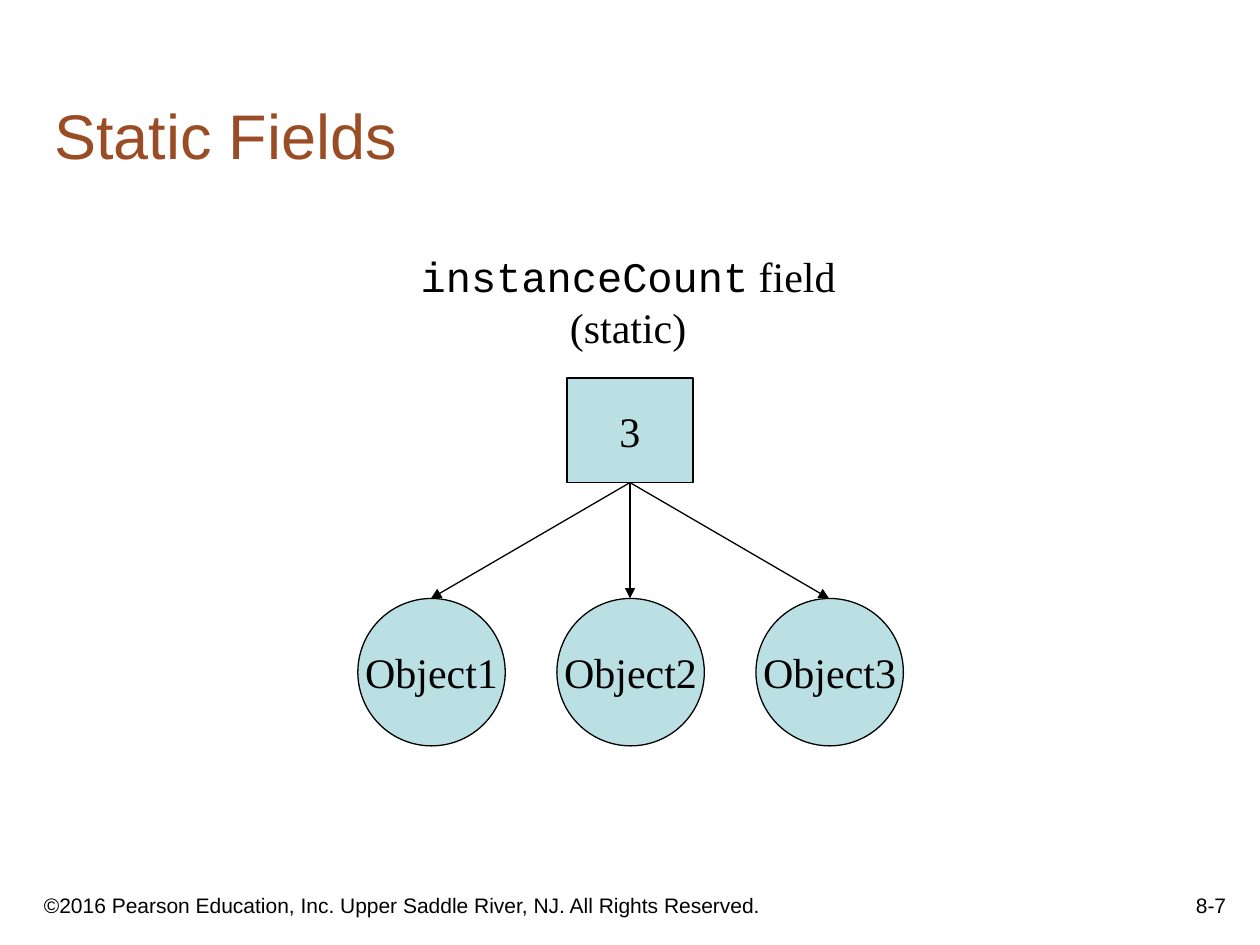
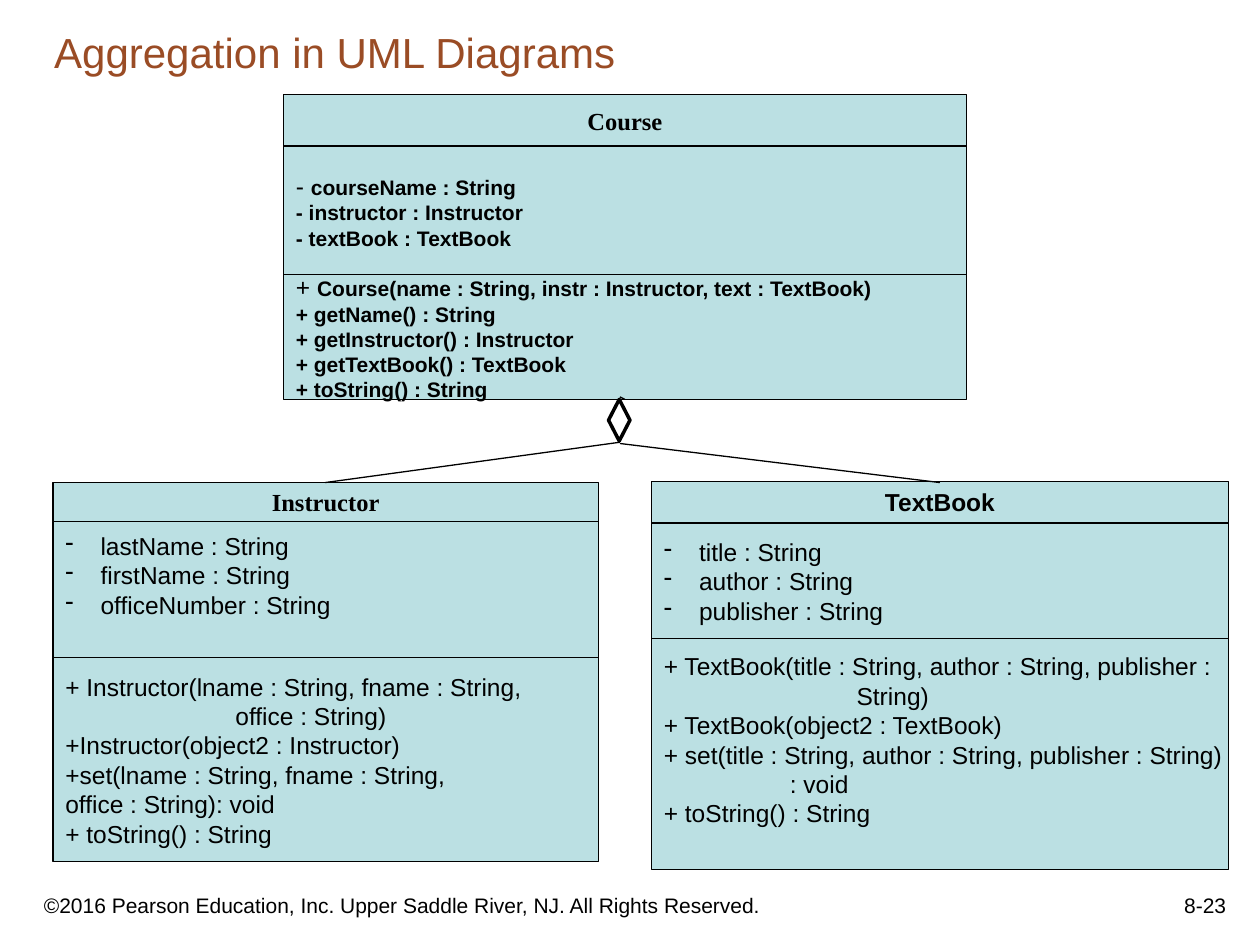
from pptx import Presentation
from pptx.dml.color import RGBColor
from pptx.enum.shapes import MSO_CONNECTOR as LINK, MSO_SHAPE as KIND
from pptx.enum.text import MSO_ANCHOR as ANCHOR, MSO_AUTO_SIZE as AUTO, PP_ALIGN as ALIGN
from pptx.oxml.ns import qn
from pptx.util import Pt
from lxml.etree import SubElement

PX = 9144  # 100 px to the inch
BROWN = RGBColor(0x9A, 0x4C, 0x25)
BLACK = RGBColor(0, 0, 0)
TEAL = RGBColor(0xBB, 0xE0, 0xE3)
SANS, SERIF, MONO = "Arial", "Times New Roman", "Courier New"


# A line is (mark, runs): mark is an indent in px, or "-" for a dash bullet.
# A run is (text, font, size, bold).
def block(slide, kind, area, lines, align=ALIGN.CENTER, anchor=ANCHOR.MIDDLE, foot=5):
    area = [n * PX for n in area]
    if kind is None:
        shape = slide.shapes.add_textbox(*area)
    else:
        shape = slide.shapes.add_shape(kind, *area)
        shape.shadow.inherit = False
        shape.fill.solid()
        shape.fill.fore_color.rgb = TEAL
        shape.line.color.rgb = BLACK
        shape.line.width = Pt(0.75)
    frame = shape.text_frame
    frame.vertical_anchor = anchor
    frame.word_wrap = align != ALIGN.CENTER
    frame.margin_left = 10 * PX
    frame.margin_right = 0 if align == ALIGN.LEFT else 10 * PX
    frame.margin_top, frame.margin_bottom = 5 * PX, foot * PX
    for i, (mark, runs) in enumerate(lines):
        para = frame.add_paragraph() if i else frame.paragraphs[0]
        para.alignment = align
        props = para._p.get_or_add_pPr()
        if mark == "-":
            props.set("marL", str(28 * PX))
            props.set("indent", str(-28 * PX))
            SubElement(props, qn("a:buChar")).set("char", mark)
        elif mark:
            props.set("marL", str(mark * PX))
        for text, face, size, bold in runs:
            run = para.add_run()
            run.text = text
            run.font.name, run.font.size, run.font.bold = face, Pt(size), bold
            run.font.color.rgb = BLACK


def wire(slide, start, end, arrow=False):
    line = slide.shapes.add_connector(LINK.STRAIGHT, *[n * PX for n in start + end])
    line.line.color.rgb = BLACK
    line.line.width = Pt(0.75)
    props = line._element.spPr
    if arrow:
        SubElement(props.find(qn("a:ln")), qn("a:tailEnd")).set("type", "triangle")
    SubElement(props, qn("a:effectLst"))


deck = Presentation()
deck.slide_width, deck.slide_height = 1000 * PX, 750 * PX

# Titles and footers
slides = []
for title, size, top, high, page in [
    ("Static Fields", 36, 33, 109, "8-7"),
    ("Aggregation in UML Diagrams", 24, 8, 58, "8-23"),
]:
    slide = deck.slides.add_slide(deck.slide_layouts[5])
    slides.append(slide)
    head = slide.shapes.title
    head.left, head.top, head.width, head.height = 33 * PX, top * PX, 942 * PX, high * PX
    frame = head.text_frame
    frame.auto_size = AUTO.NONE
    frame.vertical_anchor = ANCHOR.BOTTOM
    para = frame.paragraphs[0]
    para.alignment = ALIGN.LEFT
    run = para.add_run()
    run.text = title
    run.font.name, run.font.size, run.font.color.rgb = SANS, Pt(size), BROWN
    rights = "©2016 Pearson Education, Inc. Upper Saddle River, NJ. All Rights Reserved."
    block(slide, None, (25, 691, 608, 42), [(0, [(rights, SANS, 12, False)])],
          ALIGN.LEFT, ANCHOR.BOTTOM)
    block(slide, None, (775, 683, 208, 50), [(0, [(page, SANS, 12, False)])],
          ALIGN.RIGHT, ANCHOR.BOTTOM)

fields, uml = slides

# Static field shared by three objects
block(fields, None, (299, 194, 399, 90), [
    (0, [("instanceCount", MONO, 24, False), (" field", SERIF, 24, False)]),
    (0, [("(static)", SERIF, 24, False)]),
], anchor=ANCHOR.TOP)
block(fields, KIND.RECTANGLE, (450, 300, 100, 83), [(0, [("3", SERIF, 24, False)])])
for i, mid in enumerate((342, 500, 658), 1):
    block(fields, KIND.OVAL, (mid - 58, 475, 117, 117),
          [(0, [(f"Object{i}", SERIF, 24, False)])])
    wire(fields, (500, 383), (mid, 475), arrow=True)

# Attributes and methods: (height, foot, lines) per part
course = [
    (102, 5, [(0, [("- ", SANS, 14, False), ("courseName : String", SANS, 12, True)])]
     + [(0, [(text, SANS, 12, True)])
        for text in ("- instructor : Instructor", "- textBook : TextBook")]),
    (99, 5, [(0, [("+ ", SANS, 14, False),
                  ("Course(name : String, instr : Instructor, text : TextBook)", SANS, 12, True)])]
     + [(0, [(text, SANS, 12, True)])
        for text in ("+ getName() : String", "+ getInstructor() : Instructor",
                     "+ getTextBook() : TextBook", "+ toString() : String")]),
]
book = [
    (92, 5, [("-", "title : String"), ("-", "author : String"), ("-", "publisher : String")]),
    (183, 28, [
        (0, "+ TextBook(title : String, author : String, publisher :"),
        (153, "String)"),
        (0, "+ TextBook(object2 : TextBook)"),
        (0, "+ set(title : String, author : String, publisher : String)"),
        (100, ": void"),
        (0, "+ toString() : String"),
    ]),
]
tutor = [
    (108, 28, [("-", "lastName : String"), ("-", "firstName : String"),
               ("-", "officeNumber : String")]),
    (162, 5, [
        (0, "+ Instructor(lname : String, fname : String,"),
        (135, "office : String)"),
        (0, "+Instructor(object2 : Instructor)"),
        (0, "+set(lname : String, fname : String,"),
        (0, "office : String): void"),
        (0, "+ toString() : String"),
    ]),
]

# Class boxes, each a stack of name and parts
for name, face, left, top, wide, high, parts in [
    ("Course", SERIF, 225, 75, 542, 41, course),
    ("TextBook", SANS, 517, 382, 458, 33, book),
    ("Instructor", SERIF, 42, 383, 433, 31, tutor),
]:
    block(uml, KIND.RECTANGLE, (left, top, wide, high), [(0, [(name, face, 14, True)])])
    top += high
    for high, foot, lines in parts:
        lines = [(mark, [(text, SANS, 14, False)] if isinstance(text, str) else text)
                 for mark, text in lines]
        block(uml, KIND.RECTANGLE, (left, top, wide, high), lines, ALIGN.LEFT, foot=foot)
        top += high

# Aggregation diamond and its branches
gem = uml.shapes.add_shape(KIND.DIAMOND, 483 * PX, 317 * PX, 17 * PX, 33 * PX)
gem.shadow.inherit = False
gem.fill.background()
gem.line.color.rgb = BLACK
gem.line.width = Pt(2)
for start, end in [((496, 317), (492, 315)), ((492, 352), (746, 383)), ((492, 351), (258, 383))]:
    wire(uml, start, end)

deck.save("out.pptx")
